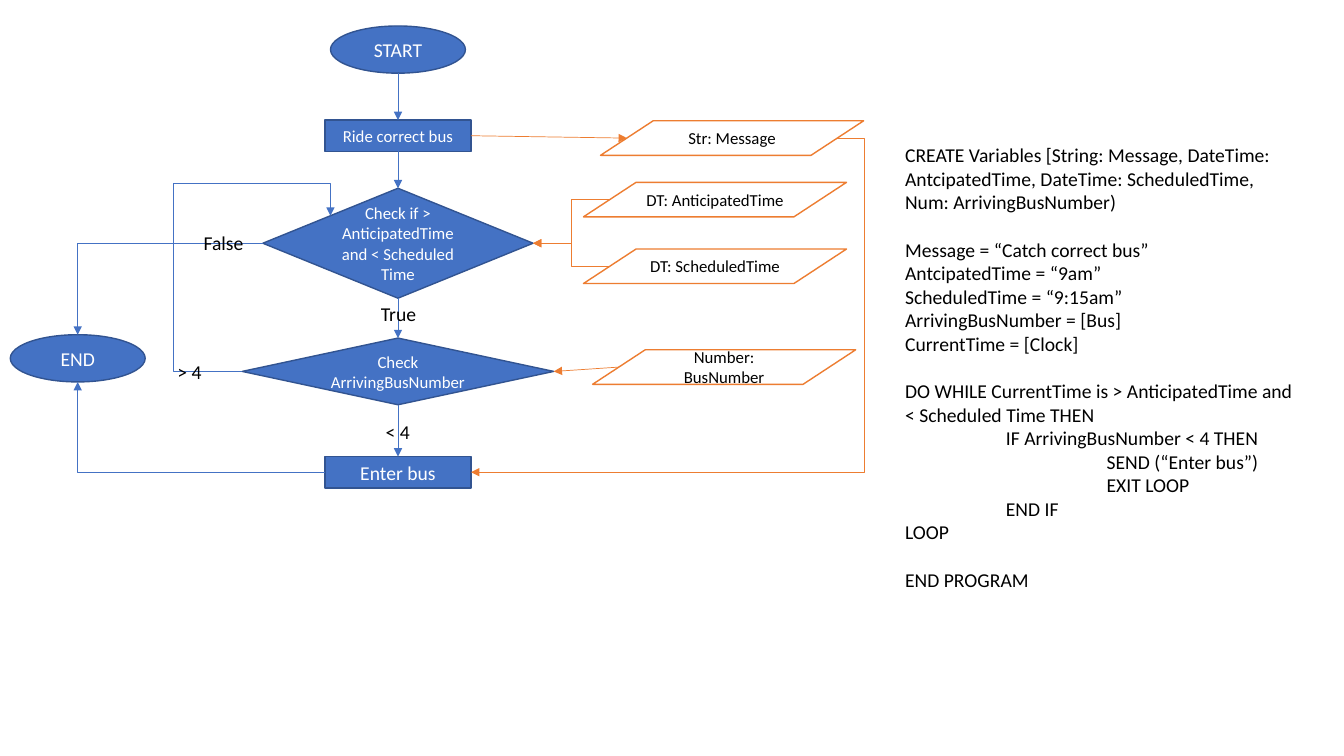
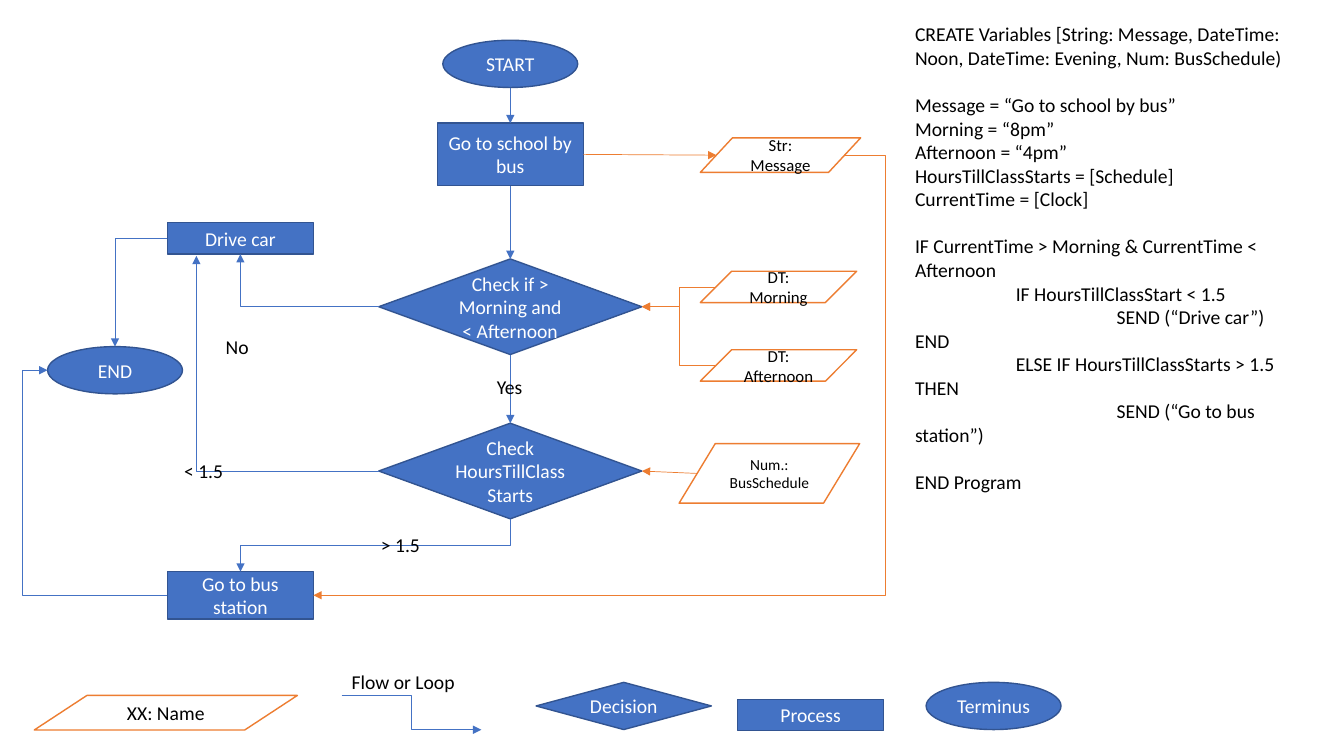
"""Build two flowchart slides, each with its pseudocode."""
from lxml import etree
from pptx import Presentation, util as u
from pptx.dml.color import RGBColor
from pptx.enum import shapes as es, text as et
from pptx.oxml.ns import qn

INK = {"blue": "4472C4", "edge": "325491", "orange": "ED7D31",
       "white": "FFFFFF", "black": "000000"}
FONT = "Calibri"
TAB = 2.54
AUTO, LINK = es.MSO_SHAPE, es.MSO_CONNECTOR

# kind: preset, width, height, fill, line, text colour
KINDS = {
    "end": (AUTO.OVAL, 3.4, 1.19, "blue", "edge", "white"),
    "step": (AUTO.RECTANGLE, 3.68, 0.79, "blue", "edge", "white"),
    "test": (AUTO.FLOWCHART_DECISION, 6.63, 2.41, "blue", "edge", "white"),
    "data": (AUTO.FLOWCHART_DATA, 6.63, 0.87, "white", "orange", "black"),
}

# node: kind, text, centre x, centre y, then size and (width, height) if unusual
# link: bend, start, end, lanes
# label: text, left, top, width
RIDE = {
    "nodes": {
        "start": ("end", "START", 10.03, 1.25),
        "ride": ("step", "Ride correct bus", 10.03, 3.42, 12),
        "time": ("test", "Check if > AnticipatedTime and < Scheduled Time",
                 10.03, 6.13, 12, (6.81, 2.77)),
        "bus": ("test", "Check ArrivingBusNumber", 10.03, 9.36, 12, (7.85, 1.68)),
        "enter": ("step", "Enter bus", 10.03, 11.9),
        "stop": ("end", "END", 1.96, 9.03),
        "note": ("data", "Str: Message", 18.45, 3.48, 12),
        "from": ("data", "DT: AnticipatedTime", 18.02, 5.03, 12),
        "till": ("data", "DT: ScheduledTime", 18.02, 6.71, 12),
        "num": ("data", "Number: BusNumber", 18.25, 9.25, 12),
    },
    "links": [
        ("line", "start.b", "ride.t"), ("line", "ride.b", "time.t"),
        ("line", "time.b", "bus.t"), ("line", "bus.b", "enter.t"),
        ("corner", "enter.l", "stop.b"), ("corner", "time.l", "stop.t"),
        ("loop", "bus.l", "time.nw", 4.37, 4.62),
        ("line", "ride.r", "note.l"), ("step", "note.r", "enter.r", 21.79),
        ("step", "till.l", "time.r", 14.4), ("step", "from.l", "time.r", 14.4),
        ("line", "num.l", "bus.r"),
    ],
    "labels": [("< 4", 9.47, 10.46, 1.12), ("> 4", 4.22, 8.94, 1.12),
               ("True", 9.35, 7.49, 1.42), ("False", 4.88, 5.69, 1.52)],
    "code": (22.56, 3.48, [
        [("CREATE Variables [String: Message, DateTime: AntcipatedTime, "
          "DateTime: ScheduledTime, Num: ArrivingBusNumber)", 0)],
        [("Message = “Catch correct bus”", 0), ("AntcipatedTime = “9am”", 0),
         ("ScheduledTime = “9:15am”", 0), ("ArrivingBusNumber = [Bus]", 0),
         ("CurrentTime = [Clock]", 0)],
        [("DO WHILE CurrentTime is > AnticipatedTime and < Scheduled Time THEN", 0),
         ("IF ArrivingBusNumber < 4 THEN", 1), ("SEND (“Enter bus”)", 2),
         ("EXIT LOOP", 2), ("END IF", 1), ("LOOP", 0)],
        [("END PROGRAM", 0)],
    ]),
}

SCHOOL = {
    "nodes": {
        "note": ("data", "Str: Message", 19.67, 3.91, 12, (4.04, 0.87)),
        "till": ("data", "DT: Afternoon", 19.62, 9.21, 12, (3.94, 0.79)),
        "from": ("data", "DT: Morning", 19.62, 7.23, 12, (3.94, 0.79)),
        "num": ("data", "Num.: BusSchedule", 19.39, 11.93, 11, (4.55, 1.5)),
        "name": ("data", "XX: Name", 4.18, 17.96),
        "pick": ("test", "Decision", 15.72, 17.79, 14, (4.42, 1.19)),
        "work": ("step", "Process", 20.43, 18.02),
        "term": ("end", "Terminus", 25.04, 17.79),
        "start": ("end", "START", 12.86, 1.61),
        "stop": ("end", "END", 2.9, 9.33),
        "go": ("step", "Go to school by bus", 12.86, 3.89, 14, (3.68, 1.57)),
        "time": ("test", "Check if > Morning and < Afternoon", 12.86, 7.73),
        "drive": ("step", "Drive car", 6.06, 6.01),
        "hours": ("test", "Check HoursTillClassStarts", 12.86, 11.87),
        "ride": ("step", "Go to bus station", 6.06, 15, 14, (3.68, 1.19)),
    },
    "links": [
        ("step", (8.61, 17.53), (12.13, 18.39), 10.37),
        ("line", "go.r", "note.l"), ("line", "start.b", "go.t"),
        ("line", "go.b", "time.t"), ("corner", "time.l", "drive.b"),
        ("step", "from.l", "time.r", 17.12), ("step", "till.l", "time.r", 17.12),
        ("line", "time.b", "hours.t"), ("step", "note.r", "ride.r", 22.3),
        ("line", "num.l", "hours.r"), ("step", "ride.l", "stop.l", 0.56),
        ("corner", "hours.l", (4.95, 6.45)), ("corner", "drive.l", "stop.t"),
        ("drop", "hours.b", "ride.t"),
    ],
    "labels": [("Flow or Loop", 8.61, 16.76, 3.12), ("No", 5.44, 8.31, 1.09),
               ("Yes", 12.27, 9.32, 1.17), ("< 1.5", 4.39, 11.43, 1.5),
               ("> 1.5", 9.35, 13.31, 1.5)],
    "code": (22.81, 0.43, [
        [("CREATE Variables [String: Message, DateTime: Noon, "
          "DateTime: Evening, Num: BusSchedule)", 0)],
        [("Message = “Go to school by bus”", 0), ("Morning = “8pm”", 0),
         ("Afternoon = “4pm”", 0), ("HoursTillClassStarts = [Schedule]", 0),
         ("CurrentTime = [Clock]", 0)],
        [("IF CurrentTime > Morning & CurrentTime < Afternoon", 0),
         ("IF HoursTillClassStart < 1.5", 1), ("SEND (“Drive car”)", 2), ("END", 0),
         ("ELSE IF HoursTillClassStarts > 1.5 THEN", 1),
         ("SEND (“Go to bus station”)", 2)],
        [("END Program", 0)],
    ]),
}


def hue(name):
    return RGBColor.from_string(INK[name])


def write(para, words, size=14, color="black", align=None, gap=0, level=0):
    run = para.add_run()
    run.text = words
    run.font.size, run.font.name = u.Pt(size), FONT
    run.font.color.rgb = hue(color)
    if align:
        para.alignment = align
    if gap:
        para.space_before = u.Pt(gap)
    if level:
        props = para._p.get_or_add_pPr()
        props.set("marL", "0")
        props.set("indent", str(u.Cm(TAB * level)))


def node(slide, kind, words, mid, row, size=14, dims=None):
    form, wide, high, fill, edge, color = KINDS[kind]
    wide, high = dims or (wide, high)
    left, top = mid - wide / 2, row - high / 2
    box = slide.shapes.add_shape(form, *map(u.Cm, (left, top, wide, high)))
    box.shadow.inherit = False
    box.fill.solid()
    box.fill.fore_color.rgb = hue(fill)
    box.line.color.rgb = hue(edge)
    box.line.width = u.Pt(1)
    box.text_frame.vertical_anchor = et.MSO_ANCHOR.MIDDLE
    box.text_frame.word_wrap = True
    write(box.text_frame.paragraphs[0], words, size, color, et.PP_ALIGN.CENTER)
    inset = wide / 10 if kind == "data" else 0
    return {"t": (mid, top), "b": (mid, top + high),
            "l": (left + inset, row), "r": (left + wide - inset, row),
            "nw": (left + wide / 4, top + high / 4)}


def link(slide, bend, start, end, color, lanes):
    (x, y), (far, low) = start, end
    if bend == "drop":
        mid, row = (x + far) / 2, (y + low) / 2
        wide, high = low - y, x - far
        x, far = mid - wide / 2, mid + wide / 2
        y, low = row - high / 2, row + high / 2
    kind = LINK.STRAIGHT if bend == "line" else LINK.ELBOW
    wire = slide.shapes.add_connector(kind, *map(u.Cm, (x, y, far, low)))
    wire.line.color.rgb = hue(color)
    wire.line.width = u.Pt(0.5)
    props = wire._element.spPr
    etree.SubElement(wire.line._get_or_add_ln(), qn("a:tailEnd"), type="triangle")
    etree.SubElement(props, qn("a:effectLst"))
    geom = props.find(qn("a:prstGeom"))
    if bend == "drop":
        props.find(qn("a:xfrm")).set("rot", "5400000")
    elif bend == "corner":
        geom.set("prst", "bentConnector2")
    elif bend == "loop":
        geom.set("prst", "bentConnector4")
    spans = ((x, far), (y, low))
    for i, (lane, (a, b)) in enumerate(zip(lanes, spans), 1):
        share = round((lane - a) / (b - a) * 100000)
        etree.SubElement(geom.find(qn("a:avLst")), qn("a:gd"),
                         name=f"adj{i}", fmla=f"val {share}")


def frame(slide, left, top, wide, high, wrap):
    box = slide.shapes.add_textbox(*map(u.Cm, (left, top, wide, high)))
    box.text_frame.word_wrap = wrap
    box.text_frame.auto_size = et.MSO_AUTO_SIZE.SHAPE_TO_FIT_TEXT
    return box.text_frame


def chart(deck, plan):
    slide = deck.slides.add_slide(deck.slide_layouts[6])
    nodes = plan["nodes"]
    sites = {key: node(slide, *item) for key, item in nodes.items()}
    for bend, start, end, *lanes in plan["links"]:
        ends, color = [], "blue"
        for spot in (start, end):
            if isinstance(spot, str):
                key, side = spot.split(".")
                if nodes[key][0] == "data":
                    color = "orange"
                spot = sites[key][side]
            ends.append(spot)
        link(slide, bend, *ends, color, lanes)
    for words, left, top, wide in plan["labels"]:
        write(frame(slide, left, top, wide, 0.86, False).paragraphs[0], words)
    left, top, blocks = plan["code"]
    body = frame(slide, left, top, 10.36, 12.22, True)
    for i, block in enumerate(blocks):
        for j, (words, level) in enumerate(block):
            para = body.add_paragraph() if i or j else body.paragraphs[0]
            write(para, words, gap=17 if i and not j else 0, level=level)


deck = Presentation()
deck.slide_width, deck.slide_height = u.Cm(33.87), u.Cm(19.05)
for plan in (RIDE, SCHOOL):
    chart(deck, plan)
deck.save("out.pptx")
